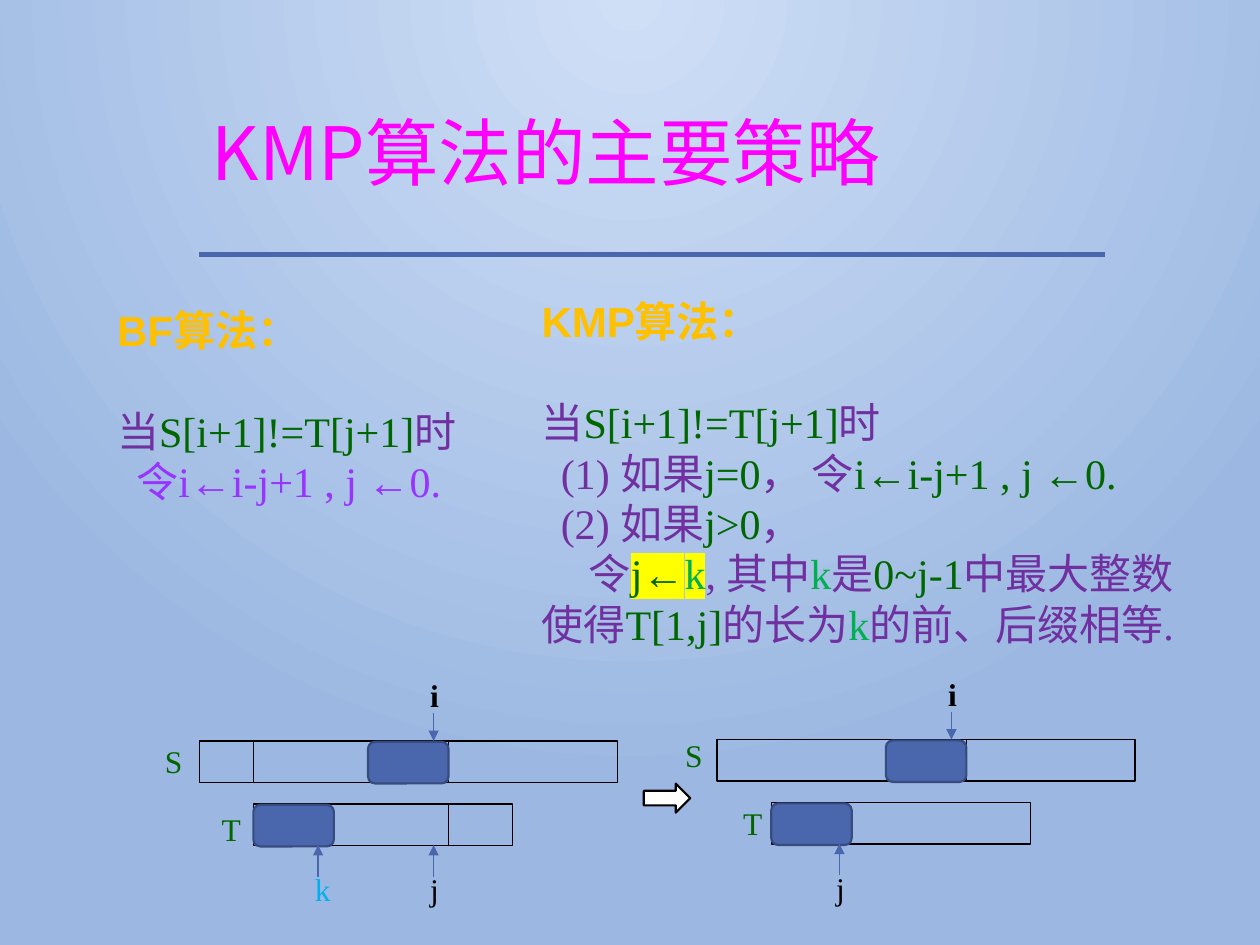
from dataclasses import dataclass
from typing import NamedTuple

from lxml import etree
from pptx import Presentation
from pptx.dml.color import RGBColor
from pptx.enum.shapes import MSO_CONNECTOR, MSO_SHAPE
from pptx.oxml.ns import qn
from pptx.util import Pt

STRAIGHT = MSO_CONNECTOR.STRAIGHT
RECT = MSO_SHAPE.RECTANGLE
ROUNDED = MSO_SHAPE.ROUNDED_RECTANGLE
RIGHT_ARROW = MSO_SHAPE.RIGHT_ARROW


@dataclass(frozen=True)
class Theme:
    bg_center: str = "CFDFF6"
    bg_edge: str = "9CB8E2"
    accent: str = "4A66AC"
    accent_dark: str = "374B7F"
    title: str = "FF00FF"
    heading: str = "FFC000"
    body: str = "7030A0"
    code: str = "006600"
    violet: str = "9933FF"
    key: str = "00B050"
    cyan: str = "00B0F0"
    mark: str = "FFFF00"
    black: str = "000000"
    white: str = "FFFFFF"
    serif: str = "Times New Roman"
    sans: str = "Arial"
    cjk: str = "Noto Sans CJK SC"
    title_size: float = 42
    body_size: float = 24
    label_size: float = 18
    line_pitch: float = 28.8
    thin: float = 0.75
    medium: float = 1.25
    thick: float = 2.5


T = Theme()


class Span(NamedTuple):
    text: str
    color: str = T.body
    font: str = T.serif
    bold: bool = False
    mark: bool = False


class Para(NamedTuple):
    spans: list[Span]
    indent: float = 0
    after: float = 0


class Label(NamedTuple):
    text: str
    x: float
    y: float
    color: str = T.code


class Pointer(NamedTuple):
    text: str
    x: float
    color: str = T.black


class Divider(NamedTuple):
    x: float
    y: float


@dataclass(frozen=True)
class Matching:
    """Text bar S over pattern bar T; all parts are relative to the corner of S."""
    x: float
    y: float
    names: list[Label]
    dividers: list[Divider]
    pointers: list[Pointer]


BAR_H, S_W, T_W = 23.8, 239, 148.3
T_X, T_Y = 31, 36
BLOCK_W, BLOCK_X = 46, 96.5
SPLIT_X, I_X = 142.5, 134


def heading(name: str) -> Para:
    return Para([Span(name, T.heading, T.sans, True),
                 Span("算法：", T.heading, T.serif, True)], after=T.line_pitch)


CONDITION = Para([Span("当"), Span("S[i+1]!=T[j+1]", T.code), Span("时")])
BF_TEXT = [heading("BF"), CONDITION,
           Para([Span("令i←i-j+1 , j ←0.", T.violet)], indent=11)]
KMP_TEXT = [
    heading("KMP"), CONDITION,
    Para([Span("(1) 如果"), Span("j=0", T.code), Span("， 令"),
          Span("i←i-j+1 , j ←0.", T.code)], indent=11),
    Para([Span("(2) 如果"), Span("j>0", T.code), Span("，")], indent=11),
    Para([Span("令"), Span("j←", T.code, mark=True), Span("k", T.key, mark=True),
          Span(", 其中"), Span("k", T.key), Span("是"), Span("0~j-1", T.code),
          Span("中最大整数使得"), Span("T[1,j]", T.code), Span("的长为"),
          Span("k", T.key), Span("的前、后缀相等.")], indent=27),
]
MATCHINGS = [
    Matching(113.8, 423.4,
             [Label("S", -26.6, -3), Label("T", 5.8, T_Y)],
             [Divider(T_X, 0), Divider(SPLIT_X, 0), Divider(SPLIT_X, T_Y)],
             [Pointer("j", I_X), Pointer("k", 68, T.cyan)]),
    Matching(409.7, 422.6,
             [Label("S", -25.2, -5.8), Label("T", 7.9, 33)],
             [Divider(SPLIT_X, 0)],
             [Pointer("j", 70)]),
]


def rgb(color: str) -> RGBColor:
    return RGBColor.from_string(color)


def paint_background(s) -> None:
    """Radial gradient spreading from the top centre."""
    fill = s.background.fill
    fill.gradient()
    for stop, color in zip(fill.gradient_stops, (T.bg_center, T.bg_edge)):
        stop.color.rgb = rgb(color)
    grad = s.background._cSld.find(".//" + qn("a:gradFill"))
    grad.remove(grad.find(qn("a:lin")))
    circle = etree.SubElement(grad, qn("a:path"), path="circle")
    etree.SubElement(circle, qn("a:fillToRect"), l="43000", t="0", r="43000", b="100000")


def style_run(r, span: Span, size: float) -> None:
    r.font.size, r.font.bold, r.font.name = Pt(size), span.bold, span.font
    r.font.color.rgb = rgb(span.color)
    props = r._r.get_or_add_rPr()
    props.find(qn("a:latin")).addnext(
        etree.Element(qn("a:ea"), typeface=T.cjk))
    if span.mark:
        highlight = etree.Element(qn("a:highlight"))
        etree.SubElement(highlight, qn("a:srgbClr"), val=T.mark)
        props.find(qn("a:solidFill")).addnext(highlight)


def add_text(s, x: float, y: float, w: float, h: float, paras: list[Para],
             size: float, spacing=None, wrap: bool = True) -> None:
    tf = s.shapes.add_textbox(Pt(x), Pt(y), Pt(w), Pt(h)).text_frame
    tf.word_wrap = wrap
    for i, para in enumerate(paras):
        p = tf.add_paragraph() if i else tf.paragraphs[0]
        p.line_spacing, p.space_after = spacing, Pt(para.after)
        if para.indent:
            p._p.get_or_add_pPr().set("indent", str(Pt(para.indent)))
        for span in para.spans:
            r = p.add_run()
            r.text = span.text
            style_run(r, span, size)


def add_label(s, text: str, x: float, y: float, color: str, bold: bool = False) -> None:
    add_text(s, x, y, 30, 29, [Para([Span(text, color, bold=bold)])],
             T.label_size, wrap=False)


def add_line(s, x1: float, y1: float, x2: float, y2: float, color: str,
             width: float, arrow: bool = False) -> None:
    c = s.shapes.add_connector(STRAIGHT, Pt(x1), Pt(y1), Pt(x2), Pt(y2))
    c.line.color.rgb, c.line.width = rgb(color), Pt(width)
    if arrow:
        etree.SubElement(c.line._get_or_add_ln(), qn("a:tailEnd"), type="triangle")
    etree.SubElement(c._element.spPr, qn("a:effectLst"))


def add_box(s, kind, x: float, y: float, w: float, h: float, line: str,
            width: float, fill: str | None = None) -> None:
    sp = s.shapes.add_shape(kind, Pt(x), Pt(y), Pt(w), Pt(h))
    sp.shadow.inherit = False
    sp.line.color.rgb, sp.line.width = rgb(line), Pt(width)
    if fill:
        sp.fill.solid()
        sp.fill.fore_color.rgb = rgb(fill)
    else:
        sp.fill.background()


def draw_matching(s, m: Matching) -> None:
    for dx, dy, w in ((0, 0, S_W), (T_X, T_Y, T_W)):
        add_box(s, RECT, m.x + dx, m.y + dy, w, BAR_H, T.black, T.thin)
    for d in m.dividers:
        x, y = m.x + d.x, m.y + d.y
        add_line(s, x, y, x, y + BAR_H, T.black, T.thin)
    for dx, dy in ((BLOCK_X, 0.5), (T_X, T_Y + 0.5)):
        add_box(s, ROUNDED, m.x + dx, m.y + dy, BLOCK_W, BAR_H,
                T.accent_dark, T.medium, T.accent)
    add_line(s, m.x + I_X, m.y - 16, m.x + I_X, m.y, T.accent, T.thin, True)
    add_label(s, "i", m.x + I_X - 9, m.y - 40.7, T.black, bold=True)
    for p in m.pointers:
        x = m.x + p.x
        add_line(s, x, m.y + 77.5, x, m.y + 59.5, T.accent, T.thin, True)
        add_label(s, p.text, x - 9, m.y + 70.4, p.color)
    for n in m.names:
        add_label(s, n.text, m.x + n.x, m.y + n.y, n.color)


def main() -> None:
    prs = Presentation()
    prs.slide_width, prs.slide_height = Pt(720), Pt(540)
    s = prs.slides.add_slide(prs.slide_layouts[6])
    paint_background(s)
    add_line(s, 113.8, 145.4, 631.4, 145.4, T.accent, T.thick)
    add_text(s, 113.8, 63.4, 580, 82.8,
             [Para([Span("KMP算法的主要策略", T.title, T.cjk)])], T.title_size, 0.9)
    add_text(s, 59.8, 170.6, 242, 152.6, BF_TEXT, T.body_size, Pt(T.line_pitch))
    add_text(s, 302.4, 165.6, 391.7, 211, KMP_TEXT, T.body_size, Pt(T.line_pitch))
    for m in MATCHINGS:
        draw_matching(s, m)
    add_box(s, RIGHT_ARROW, 367.9, 447.8, 26.6, 16.6, T.black, T.medium, T.white)
    prs.save("out.pptx")


if __name__ == "__main__":
    main()
